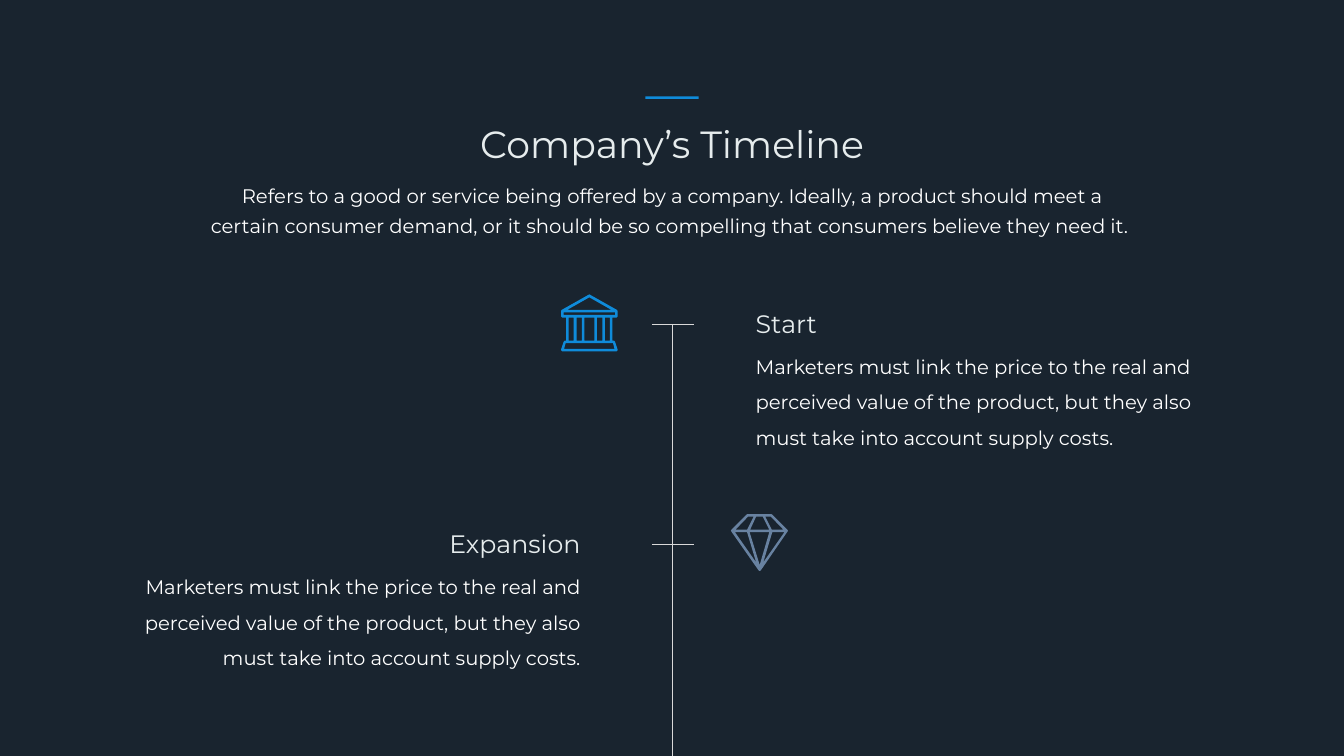
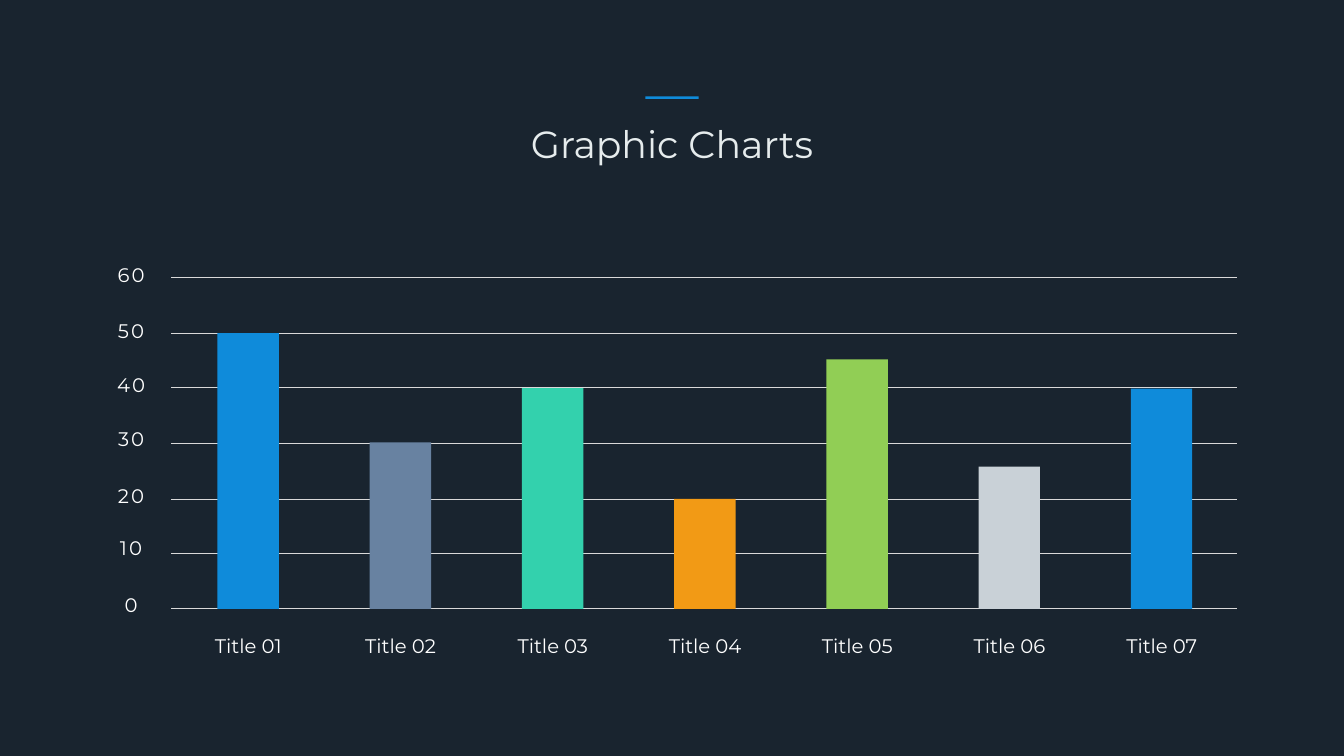
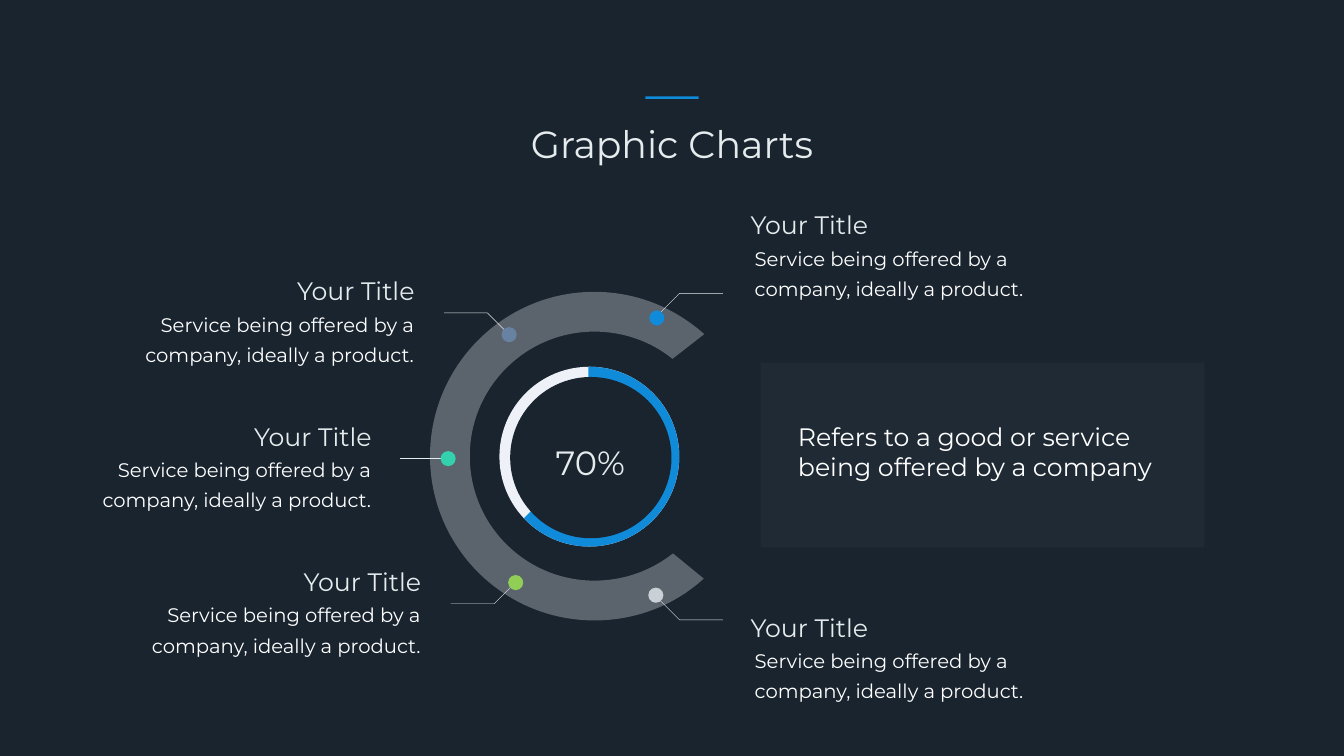
from lxml.etree import SubElement
from pptx import Presentation
from pptx.dml.color import RGBColor
from pptx.enum.shapes import MSO_CONNECTOR as CONNECTOR, MSO_SHAPE as SHAPE
from pptx.enum.text import MSO_AUTO_SIZE as AUTO_SIZE, PP_ALIGN as ALIGN
from pptx.oxml.ns import qn
from pptx.util import Pt

PX = 9144  # EMU per px, 100 px to the inch
WIDTH, HEIGHT = 2666, 1500

NAVY = RGBColor(0x19, 0x24, 0x2F)
BLUE = RGBColor(0x0F, 0x8B, 0xDA)
SLATE = RGBColor(0x68, 0x82, 0xA1)
TEAL = RGBColor(0x33, 0xD1, 0xAD)
ORANGE = RGBColor(0xF2, 0x9A, 0x15)
GREEN = RGBColor(0x91, 0xCE, 0x55)
SILVER = RGBColor(0xC9, 0xD1, 0xD7)
GRID = RGBColor(0xD9, 0xD9, 0xD9)
MIST = RGBColor(0xE6, 0xEC, 0xED)
PALE = RGBColor(0xEF, 0xF1, 0xF8)
WHITE = RGBColor(0xFF, 0xFF, 0xFF)

# Text styles: font attributes and colour
STYLES = {
    "title": ({"name": "Montserrat", "size": Pt(54)}, MIST),
    "figure": ({"name": "Montserrat", "size": Pt(48)}, MIST),
    "heading": ({"name": "Montserrat", "size": Pt(36)}, MIST),
    "statement": ({"name": "Montserrat", "size": Pt(36)}, WHITE),
    "body": ({"name": "Montserrat", "size": Pt(28)}, WHITE),
}
WIDE_INSETS = (24, 12)

# Timeline content
INTRO = ("Refers to a good or service being offered by a company. Ideally, a product "
         "should meet a certain consumer demand, or it should be so compelling that "
         "consumers believe they need it. ")
STAGE_TEXT = ("Marketers must link the price to the real and perceived value of the "
              "product, but they also must take into account supply costs.")
# name, tick height, heading left, body left, body width, alignment
STAGES = [
    ("Start", 643, 1489, 1489, 942, ALIGN.LEFT),
    ("Expansion", 1080, 569, 270, 891, ALIGN.RIGHT),
]


def box(left, top, right, bottom):
    return [(left, top), (right, top), (right, bottom), (left, bottom)]


# Icon contours: outline first, then the openings
BANK = [
    [(1223, 630), (1225, 628), (1225, 617), (1224, 615), (1169, 584), (1114, 615),
     (1113, 617), (1113, 628), (1115, 630), (1123, 630), (1123, 676), (1120, 676),
     (1118, 678), (1113, 693), (1113, 695), (1115, 697), (1223, 697), (1225, 695),
     (1225, 693), (1220, 678), (1218, 676), (1215, 676), (1215, 630)],
    [(1169, 590), (1213, 615), (1125, 615)],
    box(1118, 620, 1220, 625),
    [(1216, 681), (1219, 692), (1119, 692), (1122, 681)],
] + [box(left, 630, right, 676) for left, right in
     [(1128, 1138), (1144, 1154), (1159, 1179), (1184, 1195), (1200, 1210)]]
DIAMOND = [
    [(1563, 1053), (1562, 1051), (1532, 1021), (1530, 1020), (1483, 1020), (1481, 1021),
     (1451, 1051), (1450, 1053), (1451, 1055), (1505, 1132), (1507, 1133), (1509, 1132),
     (1562, 1055)],
    [(1514, 1116), (1532, 1056), (1556, 1056)],
    [(1507, 1121), (1487, 1056), (1526, 1056)],
    [(1458, 1056), (1482, 1056), (1500, 1116)],
    [(1484, 1025), (1495, 1025), (1482, 1051), (1459, 1051)],
    [(1513, 1025), (1526, 1051), (1488, 1051), (1500, 1025)],
    [(1529, 1025), (1554, 1051), (1531, 1051), (1518, 1025)],
]

# Bar content: name, bar height, colour
BARS = [
    ("Title 01", 547, BLUE), ("Title 02", 330, SLATE), ("Title 03", 438, TEAL),
    ("Title 04", 218, ORANGE), ("Title 05", 495, GREEN), ("Title 06", 282, SILVER),
    ("Title 07", 437, BLUE),
]
# axis label, grid line height, label top
AXIS = [("60", 550, 516), ("50", 661, 627), ("40", 769, 735), ("30", 880, 843),
        ("20", 990, 955), ("10", 1097, 1059), ("0", 1206, 1172)]

# Ring content
CALLOUT_TITLE = "Your Title"
CALLOUT_TEXT = "Service being offered by a company, ideally a product."
STATEMENT = "Refers to a good or service being offered by a company"
# title left, title top, alignment, dot centre, dot colour
CALLOUTS = [
    (1479, 411, ALIGN.LEFT, (1303, 631), BLUE),
    (1479, 1209, ALIGN.LEFT, (1301, 1181), SILVER),
    (574, 541, ALIGN.RIGHT, (1010, 664), SLATE),
    (489, 830, ALIGN.RIGHT, (889, 910), TEAL),
    (587, 1118, ALIGN.RIGHT, (1023, 1156), GREEN),
]
# start of each bent leader, direction across, direction down
LEADERS = [(1305, 625, 1, -1), (1305, 1187, 1, 1), (1010, 664, -1, -1), (1023, 1155, -1, 1)]
# Open ring: inner then outer edge, each a start and four curves of three points
RING_INNER = [(1335, 1098), (1292, 1132), (1238, 1152), (1179, 1152),
              (1043, 1152), (932, 1042), (932, 905), (932, 768), (1043, 658), (1179, 658),
              (1238, 658), (1292, 678), (1334, 712)]
RING_OUTER = [(1397, 663), (1339, 611), (1263, 579), (1179, 579),
              (999, 579), (853, 726), (853, 905), (853, 1085), (999, 1231), (1179, 1231),
              (1263, 1231), (1339, 1200), (1396, 1148)]


def px(*lengths):
    return [round(length * PX) for length in lengths]


def paint(shape, fill=None, line=None, line_width=0, opacity=100):
    shape.shadow.inherit = False
    if fill is None:
        shape.fill.background()
    else:
        shape.fill.solid()
        shape.fill.fore_color.rgb = fill
        if opacity < 100:
            color = next(shape.element.spPr.iter(qn("a:srgbClr")))
            SubElement(color, qn("a:alpha"), val=str(opacity * 1000))
    if line is None:
        shape.line.fill.background()
    else:
        shape.line.color.rgb = line
        shape.line.width = Pt(line_width)
    return shape


def add_shape(slide, kind, left, top, width, height, **look):
    return paint(slide.shapes.add_shape(kind, *px(left, top, width, height)), **look)


def add_outline(slide, contours, close=True, **look):
    scaled = [[px(*point) for point in contour] for contour in contours]
    builder = slide.shapes.build_freeform(*scaled[0][0], scale=1.0)
    for index, (start, *rest) in enumerate(scaled):
        if index:
            builder.move_to(*start)
        builder.add_line_segments(rest, close=close)
    return paint(builder.convert_to_shape(), **look)


def round_segments(shape, first, count):
    """Turn count runs of three line segments, from first on, into cubic curves."""
    outline = next(shape.element.iter(qn("a:path")))
    lines = outline.findall(qn("a:lnTo"))[first:first + 3 * count]
    for start in range(0, len(lines), 3):
        curve = SubElement(outline, qn("a:cubicBezTo"))
        lines[start].addprevious(curve)
        for line in lines[start:start + 3]:
            curve.append(line[0])
            outline.remove(line)


def add_line(slide, x1, y1, x2, y2, color=GRID, width=0.5):
    connector = slide.shapes.add_connector(CONNECTOR.STRAIGHT, *px(x1, y1, x2, y2))
    connector.line.color.rgb = color
    connector.line.width = Pt(width)
    SubElement(connector.element.spPr, qn("a:effectLst"))


def add_text(slide, text, left, top, width, height, style,
             align=ALIGN.LEFT, spacing=None, insets=(10, 5), tracking=0):
    frame = slide.shapes.add_textbox(*px(left, top, width, height)).text_frame
    frame.word_wrap = True
    frame.auto_size = AUTO_SIZE.SHAPE_TO_FIT_TEXT
    across, down = px(*insets)
    frame.margin_left = frame.margin_right = across
    frame.margin_top = frame.margin_bottom = down
    paragraph = frame.paragraphs[0]
    paragraph.alignment = align
    if spacing:
        paragraph.line_spacing = spacing
    run = paragraph.add_run()
    run.text = text
    values, color = STYLES[style]
    for name, value in values.items():
        setattr(run.font, name, value)
    run.font.color.rgb = color
    if tracking:
        run.font._element.set("spc", str(tracking * 100))


def add_slide(presentation, title, title_width=1018):
    """Blank slide with the shared background, title and accent rule."""
    slide = presentation.slides.add_slide(presentation.slide_layouts[6])
    slide.background.fill.solid()
    slide.background.fill.fore_color.rgb = NAVY
    add_text(slide, title, (WIDTH - title_width) / 2, 234, title_width, 101,
             "title", ALIGN.CENTER)
    add_shape(slide, SHAPE.RECTANGLE, 1280, 191, 106, 5, fill=BLUE)
    return slide


def build_timeline(presentation):
    slide = add_slide(presentation, "Company’s Timeline", 791)
    add_line(slide, 1334, STAGES[0][1], 1334, HEIGHT)
    for name, tick, heading_left, body_left, body_width, align in STAGES:
        add_line(slide, 1293, tick, 1376, tick)
        add_text(slide, name, heading_left, tick - 37, 592, 71, "heading", align)
        add_text(slide, STAGE_TEXT, body_left, tick + 33, body_width, 222, "body", align, 1.5)
    add_text(slide, INTRO, 383, 340, 1900, 139, "body", ALIGN.CENTER, Pt(43), WIDE_INSETS)
    add_outline(slide, BANK, fill=BLUE)
    add_outline(slide, DIAMOND, fill=SLATE)


def build_bars(presentation):
    slide = add_slide(presentation, "Graphic Charts")
    # Grid lines with axis labels
    for label, level, label_top in AXIS:
        add_line(slide, 340, level, 2454, level)
        add_text(slide, label, 211, label_top, 98, 57, "body", ALIGN.CENTER, tracking=3)
    # Bars with category labels
    for index, (name, height, color) in enumerate(BARS):
        left = 431 + 302 * index
        add_shape(slide, SHAPE.RECTANGLE, left, 1208 - height, 122, height, fill=color)
        add_text(slide, name, left - 63, 1252, 249, 57, "body", ALIGN.CENTER)


def build_ring(presentation):
    slide = add_slide(presentation, "Graphic Charts")
    # Open ring
    ring = add_outline(slide, [RING_INNER + RING_OUTER], fill=PALE, opacity=31)
    round_segments(ring, len(RING_INNER), 4)
    round_segments(ring, 0, 4)
    # Leaders
    for x, y, across, down in LEADERS:
        bend, level = x + 43 * across, y + 43 * down
        add_outline(slide, [[(x, y), (bend, level), (bend + 86 * across, level)]],
                    close=False, line=MIST, line_width=0.6)
    add_line(slide, 889, 910, 794, 910, MIST, 0.6)
    # Dots with callouts
    for left, top, align, (x, y), color in CALLOUTS:
        add_shape(slide, SHAPE.OVAL, x - 15, y - 15, 30, 30, fill=color)
        add_text(slide, CALLOUT_TITLE, left, top, 258, 71, "heading", align)
        body_left, body_width = (left - 6, 586) if align == ALIGN.LEFT else (left - 350, 621)
        add_text(slide, CALLOUT_TEXT, body_left, top + 54, body_width, 139,
                 "body", align, Pt(43), WIDE_INSETS)
    # Statement panel
    add_shape(slide, SHAPE.RECTANGLE, 1509, 719, 880, 367, fill=MIST, opacity=3)
    add_text(slide, STATEMENT, 1573, 830, 754, 131, "statement")
    # Progress dial
    add_shape(slide, SHAPE.OVAL, 1008, 745, 322, 322, fill=BLUE, line=PALE, line_width=25)
    arc = add_shape(slide, SHAPE.ARC, 1008, 745, 322, 322, line=BLUE, line_width=25)
    for index, degrees in enumerate((269.26, 136.85)):
        arc.adjustments[index] = degrees * 0.6
    add_shape(slide, SHAPE.OVAL, 1012, 748, 320, 320, fill=NAVY)
    add_text(slide, "70%", 1085, 872, 172, 91, "figure", ALIGN.CENTER)


def main():
    presentation = Presentation()
    presentation.slide_width, presentation.slide_height = px(WIDTH, HEIGHT)
    build_timeline(presentation)
    build_bars(presentation)
    build_ring(presentation)
    presentation.save("out.pptx")


if __name__ == "__main__":
    main()
